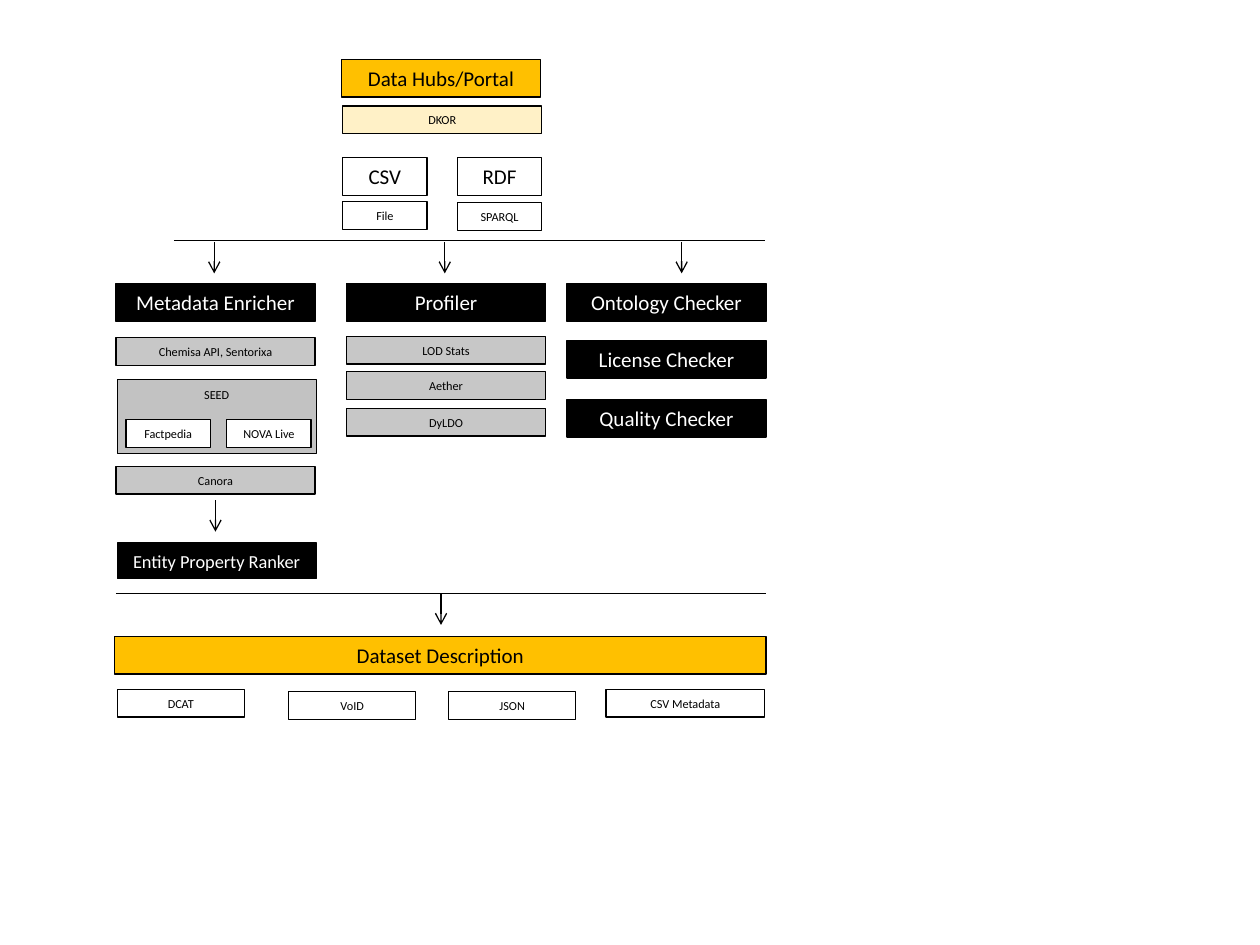
"""Draw the flow from data portals through the checkers to a dataset description."""
from lxml import etree
from pptx import Presentation
from pptx import util as u
from pptx.dml.color import RGBColor
from pptx.enum import shapes, text
from pptx.oxml.ns import qn

BLACK = RGBColor(0x00, 0x00, 0x00)
WHITE = RGBColor(0xFF, 0xFF, 0xFF)
AMBER = RGBColor(0xFF, 0xC0, 0x00)

deck = Presentation()
deck.slide_width, deck.slide_height = u.Inches(10), u.Inches(7.5)
page = deck.slides.add_slide(deck.slide_layouts[6])

CELL = deck.slide_width / 100
LEFT, MIDDLE, RIGHT = 9.2, 27.5, 45
WIDE, NARROW, OUTPUT = 15.8, 6.7, 10.1
TALL, LOW = 3, 2.2
TOP_RULE, BOTTOM_RULE = 19.1, 47.1
ARROW = 2.5


def add_box(label, column, row, width, height, fill, size=7, alpha=100):
    box = page.shapes.add_shape(
        shapes.MSO_SHAPE.RECTANGLE,
        *[round(cells * CELL) for cells in (column, row, width, height)])
    box.shadow.inherit = False
    box.fill.solid()
    box.fill.fore_color.rgb = fill
    if alpha < 100:
        color = box.fill._xPr.find(qn("a:solidFill"))[0]
        etree.SubElement(color, qn("a:alpha"), val=str(alpha * 1000))
    box.line.color.rgb = BLACK
    box.line.width = u.Pt(0.75)
    frame = box.text_frame
    frame.margin_left = frame.margin_right = 0
    frame.margin_top = frame.margin_bottom = 0
    frame.word_wrap = True
    frame.vertical_anchor = text.MSO_ANCHOR.MIDDLE
    para = frame.paragraphs[0]
    para.text = label
    para.alignment = text.PP_ALIGN.CENTER
    para.font.name = "Calibri"
    para.font.size = u.Pt(size)
    para.font.color.rgb = WHITE if fill == BLACK and alpha == 100 else BLACK
    return box


def add_line(start_column, start_row, end_column, end_row, arrow=False):
    line = page.shapes.add_connector(
        shapes.MSO_CONNECTOR.STRAIGHT,
        *[round(cells * CELL)
          for cells in (start_column, start_row, end_column, end_row)])
    line.line.color.rgb = BLACK
    line.line.width = u.Pt(0.75)
    if arrow:
        etree.SubElement(line.line._get_or_add_ln(), qn("a:tailEnd"), type="arrow")
    etree.SubElement(line._element.spPr, qn("a:effectLst"))


add_box("Data Hubs/Portal", 27.1, 4.7, WIDE, TALL, AMBER, 12)
add_box("DKOR", 27.2, 8.4, WIDE, LOW, AMBER, alpha=22)
for kind, access, column, access_row in (
        ("CSV", "File", 27.2, 16), ("RDF", "SPARQL", 36.3, 16.1)):
    add_box(kind, column, 12.5, NARROW, TALL, WHITE, 12)
    add_box(access, column, access_row, NARROW, LOW, WHITE)

for label, column, row in (
        ("Metadata Enricher", LEFT, 22.5),
        ("Profiler", MIDDLE, 22.5),
        ("Ontology Checker", RIGHT, 22.5),
        ("License Checker", RIGHT, 27),
        ("Quality Checker", RIGHT, 31.7)):
    add_box(label, column, row, WIDE, TALL, BLACK, 12)

for label, column, row in (
        ("Chemisa API, Sentorixa", LEFT, 26.8),
        ("Canora", LEFT, 37),
        ("LOD Stats", MIDDLE, 26.7),
        ("Aether", MIDDLE, 29.5),
        ("DyLDO", MIDDLE, 32.4)):
    add_box(label, column, row, WIDE, LOW, BLACK, alpha=22)

seed = add_box("SEED", 9.3, 30.1, WIDE, 5.9, BLACK, alpha=24)
seed.text_frame.vertical_anchor = text.MSO_ANCHOR.TOP
seed.text_frame.margin_top = u.Inches(0.06)
for label, column in (("Factpedia", 10), ("NOVA Live", 18)):
    add_box(label, column, 33.3, NARROW, LOW, WHITE)

add_box("Entity Property Ranker", 9.3, 43.1, WIDE, 2.8, BLACK, 10.5)

add_box("Dataset Description", 9.1, 50.5, 51.7, TALL, AMBER, 12)
for label, column, row, width in (
        ("DCAT", 9.3, 54.7, OUTPUT),
        ("VoID", 22.9, 54.9, OUTPUT),
        ("JSON", 35.6, 54.9, OUTPUT),
        ("CSV Metadata", 48.1, 54.7, 12.6)):
    add_box(label, column, row, width, LOW, WHITE)

add_line(13.8, TOP_RULE, 60.7, TOP_RULE)
add_line(LEFT, BOTTOM_RULE, 60.8, BOTTOM_RULE)
for column, row in ((17, 19.2), (35.3, 19.2), (54.1, 19.2),
                    (17.1, 39.7), (35, BOTTOM_RULE)):
    add_line(column, row, column, row + ARROW, arrow=True)

deck.save("out.pptx")
